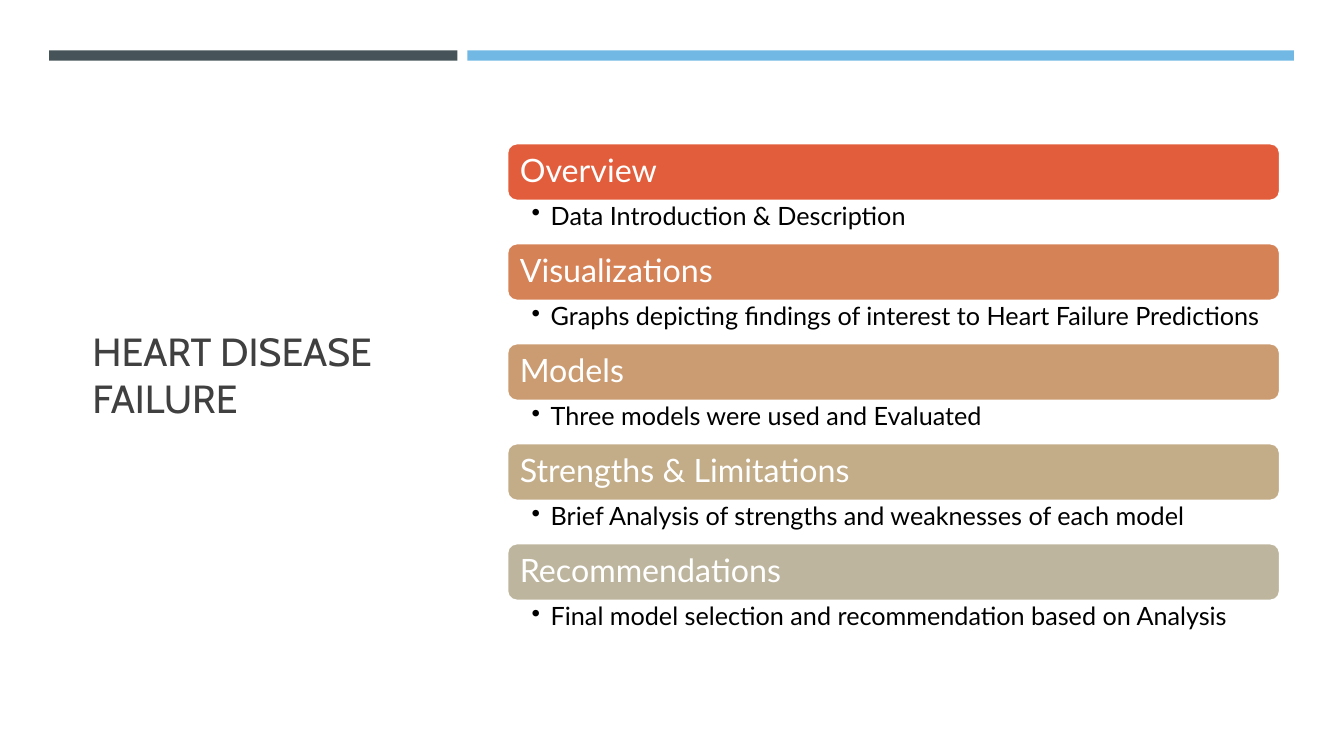
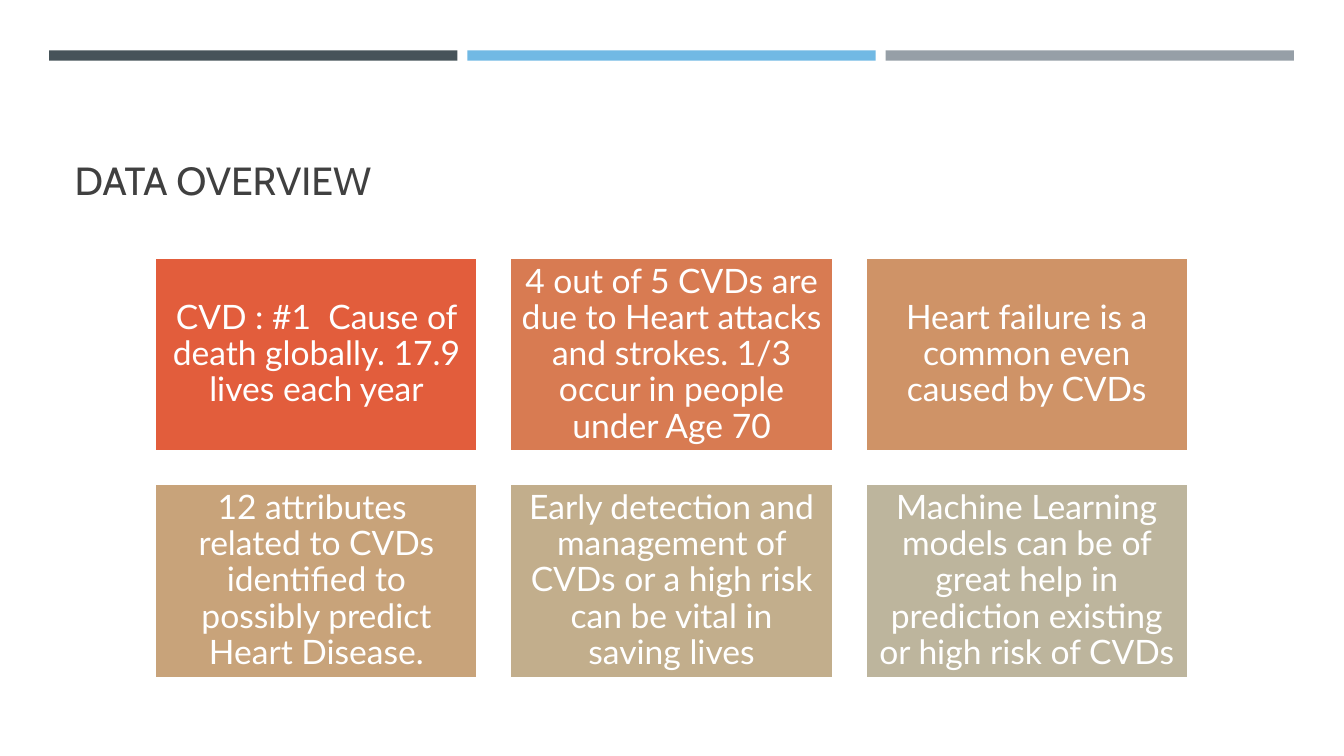
from lxml import etree
from pptx import Presentation
from pptx.dml.color import RGBColor
from pptx.enum import shapes, text
from pptx.oxml.ns import qn
from pptx.util import Cm, Pt

COLORS = {
    "white": "FFFFFF", "black": "000000", "title": "404040",
    "slate": "465359", "sky": "71B9E4", "gray": "969FA7",
    "red": "E25D3C", "orange": "D87B52", "copper": "D68257",
    "apricot": "CF9367", "tan": "CB9C71", "caramel": "C8A37A",
    "sand": "C3AC88", "khaki": "C2AE8C", "stone": "BDB59D",
}
TITLE_FONT, BODY_FONT = "Cabin", "Lato"
BAND_LEFT, BAND_TOP, BAND_WIDTH, BAND_HEIGHT, BAND_GAP = 1.24, 1.27, 10.29, 0.26, 0.25

AGENDA = [
    ("Overview", "Data Introduction & Description", "red"),
    ("Visualizations", "Graphs depicting findings of interest to Heart Failure Predictions", "copper"),
    ("Models", "Three models were used and Evaluated", "tan"),
    ("Strengths & Limitations", "Brief Analysis of strengths and weaknesses of each model", "sand"),
    ("Recommendations", "Final model selection and recommendation based on Analysis", "stone"),
]
FACTS = [
    ("CVD : #1  Cause of death globally. 17.9 lives each year", "red"),
    ("4 out of 5 CVDs are due to Heart attacks and strokes. 1/3 occur in people under Age 70", "orange"),
    ("Heart failure is a common even caused by CVDs", "apricot"),
    ("12 attributes  related to CVDs identified to possibly predict Heart Disease.", "caramel"),
    ("Early detection and management of CVDs or a high risk can be vital in saving lives", "khaki"),
    ("Machine Learning models can be of great help in prediction existing or high risk of CVDs", "stone"),
]


def rgb(name):
    """Return the named colour."""
    return RGBColor.from_string(COLORS[name])


def add_block(slide, kind, box, color, outlined=False):
    """Add a filled shape, with a white outline if asked."""
    block = slide.shapes.add_shape(kind, *map(Cm, box))
    block.shadow.inherit = False
    block.fill.solid()
    block.fill.fore_color.rgb = rgb(color)
    if outlined:
        block.line.color.rgb = rgb("white")
        block.line.width = Pt(1.75)
    else:
        block.line.fill.background()
    return block


def write(shape, wording, size, color, font=BODY_FONT, anchor=text.MSO_ANCHOR.MIDDLE,
          align=text.PP_ALIGN.LEFT, insets=(0.25, 0.25, 0.25, 0.25), spacing=0.9):
    """Put one styled run into a shape and return its paragraph."""
    frame = shape.text_frame
    frame.word_wrap = True
    frame.vertical_anchor = anchor
    frame.margin_left, frame.margin_top, frame.margin_right, frame.margin_bottom = map(Cm, insets)
    paragraph = frame.paragraphs[0]
    paragraph.alignment = align
    paragraph.line_spacing = spacing
    run = paragraph.add_run()
    run.text = wording
    run.font.name = font
    run.font.size = Pt(size)
    run.font.color.rgb = rgb(color)
    return paragraph


def add_bullet(paragraph, indent):
    """Give a paragraph a hanging round bullet."""
    properties = paragraph._p.get_or_add_pPr()
    properties.set("marL", str(Cm(indent)))
    properties.set("indent", str(-Cm(indent)))
    etree.SubElement(properties, qn("a:buChar")).set("char", "•")


def add_bands(slide, bands):
    """Draw the top bands from (colour, columns spanned) pairs."""
    column = 0
    for color, span in bands:
        left = BAND_LEFT + column * (BAND_WIDTH + BAND_GAP)
        width = span * BAND_WIDTH + (span - 1) * BAND_GAP
        add_block(slide, shapes.MSO_SHAPE.RECTANGLE, (left, BAND_TOP, width, BAND_HEIGHT), color)
        column += span


def add_title(slide, wording, box, anchor):
    """Add the slide title in the shared style."""
    title = slide.shapes.add_textbox(*map(Cm, box))
    write(title, wording, 28, "title", TITLE_FONT, anchor,
          insets=(0.25, 0.13, 0.25, 0.13), spacing=1.0)


def add_agenda(slide, box, topics):
    """Stack topic bars, each with a bulleted detail below."""
    left, top, width, height = box
    pitch = height / len(topics)
    bar_height = 1.45
    for row, (topic, detail, color) in enumerate(topics):
        bar_top = top + row * pitch
        bar = add_block(slide, shapes.MSO_SHAPE.ROUNDED_RECTANGLE,
                        (left, bar_top, width, bar_height), color, outlined=True)
        write(bar, topic, 23, "white")
        note = slide.shapes.add_textbox(
            *map(Cm, (left, bar_top + bar_height, width, pitch - bar_height)))
        line = write(note, detail, 18, "black", anchor=text.MSO_ANCHOR.TOP,
                     insets=(0.62, 0.08, 0.44, 0.08))
        add_bullet(line, 0.48)


def add_cards(slide, box, facts, columns=3, gap=0.82):
    """Fill a box with an even grid of fact cards."""
    left, top, width, height = box
    rows = -(-len(facts) // columns)
    card_width = (width - (columns - 1) * gap) / columns
    card_height = (height - (rows - 1) * gap) / rows
    for index, (fact, color) in enumerate(facts):
        row, column = divmod(index, columns)
        card = add_block(slide, shapes.MSO_SHAPE.RECTANGLE,
                         (left + column * (card_width + gap), top + row * (card_height + gap),
                          card_width, card_height), color, outlined=True)
        write(card, fact, 24, "white", align=text.PP_ALIGN.CENTER)


def build_agenda_slide(slide):
    """Build the slide with a side title and the agenda."""
    add_bands(slide, [("slate", 1), ("sky", 2)])
    add_title(slide, "HEART DISEASE FAILURE", (2.08, 2.9, 8.48, 13.08), text.MSO_ANCHOR.MIDDLE)
    add_agenda(slide, (12.78, 3.61, 19.48, 12.6), AGENDA)


def build_overview_slide(slide):
    """Build the slide with a top title and the fact cards."""
    add_bands(slide, [("slate", 1), ("sky", 1), ("gray", 1)])
    add_title(slide, "DATA OVERVIEW", (1.63, 1.96, 30.63, 3.3), text.MSO_ANCHOR.BOTTOM)
    add_cards(slide, (3.91, 6.5, 26.03, 10.58), FACTS)


def main():
    """Create and save the presentation."""
    deck = Presentation()
    deck.slide_width, deck.slide_height = Cm(33.87), Cm(19.05)
    for build in (build_agenda_slide, build_overview_slide):
        build(deck.slides.add_slide(deck.slide_layouts[6]))
    deck.save("out.pptx")


if __name__ == "__main__":
    main()
